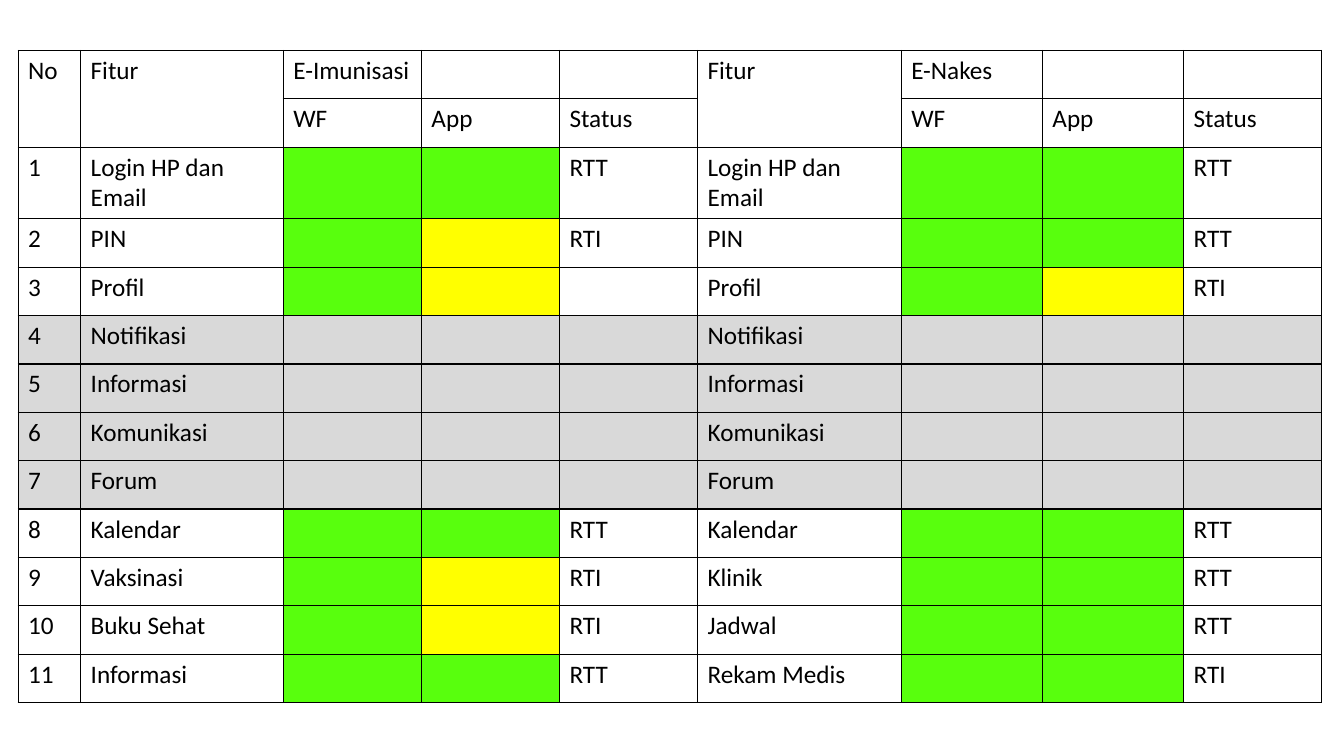
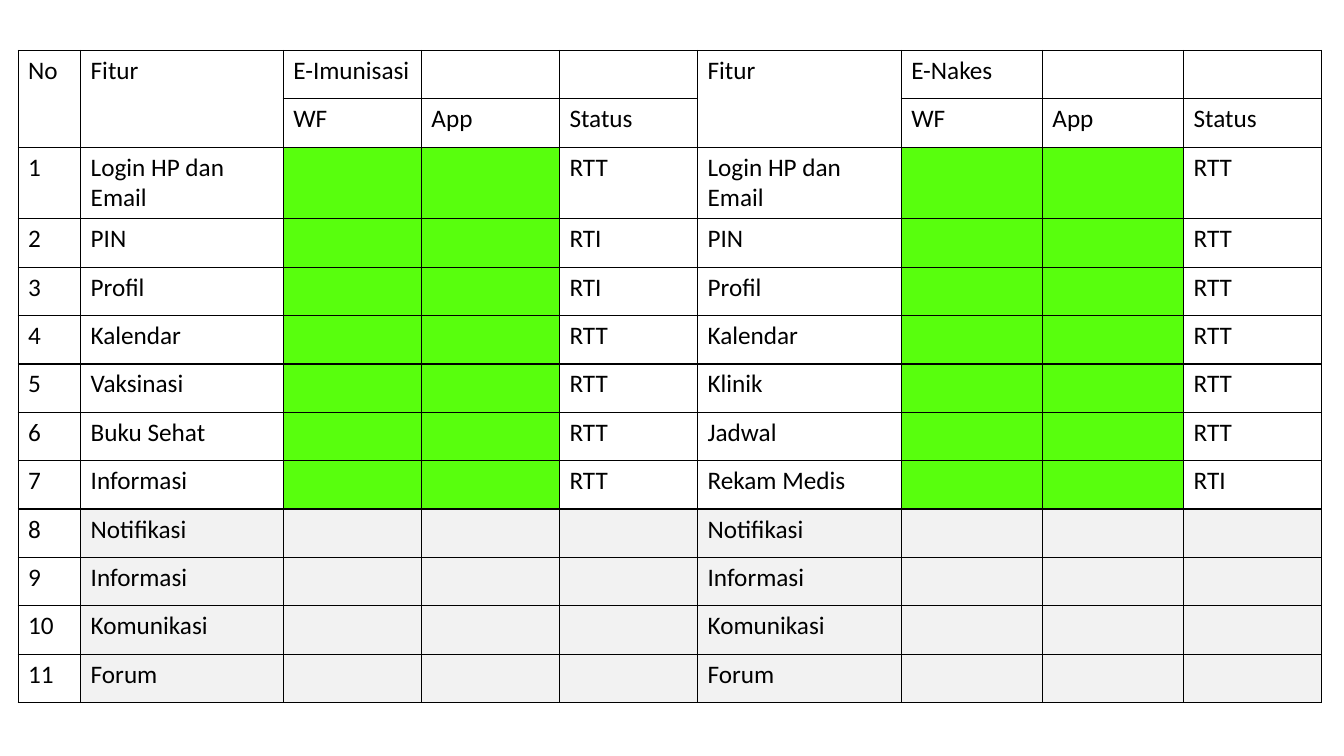
import pptx
import pptx.dml.color
import pptx.oxml
import pptx.oxml.ns
import pptx.util

SLIDE_WIDTH, SLIDE_HEIGHT = 13.33, 7.5
FONT = "Calibri"
FONT_SIZE = 18
BLACK = "000000"
DONE = "58FF0D"
PARTIAL = "FFFF00"
DARK_GREY = "D9D9D9"
LIGHT_GREY = "F2F2F2"

TABLE_LEFT, TABLE_TOP = 0.18, 0.5
COLUMN_WIDTHS = [0.62, 2.01, 1.37, 1.37, 1.37, 2.02, 1.4, 1.4, 1.37]
ROW_HEIGHT, TALL_ROW_HEIGHT = 0.48, 0.71
HEADER = [
    ["No", "Fitur", "E-Imunisasi", "", "", "Fitur", "E-Nakes", "", ""],
    ["", "", "WF", "App", "Status", "", "WF", "App", "Status"],
]
MERGED_COLUMNS = [0, 1, 5]
TALL_ROW = len(HEADER)
PAUSED_FEATURES = ["Notifikasi", "Informasi", "Komunikasi", "Forum"]

# Active features: left name, app colour, status; right name, app colour, status.
FIRST_LOGIN = [
    ("Login HP dan Email", DONE, "RTT", "Login HP dan Email", DONE, "RTT"),
    ("PIN", PARTIAL, "RTI", "PIN", DONE, "RTT"),
    ("Profil", PARTIAL, "", "Profil", PARTIAL, "RTI"),
]
FIRST_SERVICES = [
    ("Kalendar", DONE, "RTT", "Kalendar", DONE, "RTT"),
    ("Vaksinasi", PARTIAL, "RTI", "Klinik", DONE, "RTT"),
    ("Buku Sehat", PARTIAL, "RTI", "Jadwal", DONE, "RTT"),
    ("Informasi", DONE, "RTT", "Rekam Medis", DONE, "RTI"),
]
SECOND_ACTIVE = [
    ("Login HP dan Email", DONE, "RTT", "Login HP dan Email", DONE, "RTT"),
    ("PIN", DONE, "RTI", "PIN", DONE, "RTT"),
    ("Profil", DONE, "RTI", "Profil", DONE, "RTT"),
    ("Kalendar", DONE, "RTT", "Kalendar", DONE, "RTT"),
    ("Vaksinasi", DONE, "RTT", "Klinik", DONE, "RTT"),
    ("Buku Sehat", DONE, "RTT", "Jadwal", DONE, "RTT"),
    ("Informasi", DONE, "RTT", "Rekam Medis", DONE, "RTI"),
]


def color(value):
    """Turn a hex string into a colour."""
    return pptx.dml.color.RGBColor.from_string(value)


def add_borders(cell):
    """Draw a thin black line on all four sides of a cell."""
    properties = cell._tc.get_or_add_tcPr()
    namespace = pptx.oxml.ns.nsdecls("a")
    for side in ("lnL", "lnR", "lnT", "lnB"):
        properties.append(pptx.oxml.parse_xml(
            f'<a:{side} {namespace} w="{pptx.util.Pt(1)}"><a:solidFill>'
            f'<a:srgbClr val="{BLACK}"/></a:solidFill></a:{side}>'))


def format_cell(cell, text, fill):
    """Give a cell its borders, fill and text."""
    add_borders(cell)
    if fill:
        cell.fill.solid()
        cell.fill.fore_color.rgb = color(fill)
    else:
        cell.fill.background()
    paragraph = cell.text_frame.paragraphs[0]
    paragraph.font.size = pptx.util.Pt(FONT_SIZE)
    if text:
        run = paragraph.add_run()
        run.text = text
        run.font.name = FONT
        run.font.size = pptx.util.Pt(FONT_SIZE)
        run.font.color.rgb = color(BLACK)


def active_rows(features):
    """List the (text, fill) cells of features in progress, without numbers."""
    return [
        [(left, None), ("", DONE), ("", left_app), (left_status, None),
         (right, None), ("", DONE), ("", right_app), (right_status, None)]
        for left, left_app, left_status, right, right_app, right_status in features
    ]


def paused_rows(grey):
    """List the (text, fill) cells of paused features, without numbers."""
    return [[(text, grey) for text in (feature, "", "", "") * 2]
            for feature in PAUSED_FEATURES]


def add_status_table(slide, left, top, feature_rows, number_fills):
    """Place the feature status table with its two header rows."""
    rows = [[(text, None) for text in texts] for texts in HEADER]
    for number, (cells, fill) in enumerate(zip(feature_rows, number_fills), 1):
        rows.append([(str(number), fill)] + cells)
    heights = [TALL_ROW_HEIGHT if index == TALL_ROW else ROW_HEIGHT
               for index in range(len(rows))]
    box = [pptx.util.Inches(length)
           for length in (left, top, sum(COLUMN_WIDTHS), sum(heights))]
    table = slide.shapes.add_table(len(rows), len(COLUMN_WIDTHS), *box).table
    table.first_row = False
    table.horz_banding = False
    for column, width in zip(table.columns, COLUMN_WIDTHS):
        column.width = pptx.util.Inches(width)
    for row, height, contents in zip(table.rows, heights, rows):
        row.height = pptx.util.Inches(height)
        for cell, (text, fill) in zip(row.cells, contents):
            format_cell(cell, text, fill)
    for column in MERGED_COLUMNS:
        table.cell(0, column).merge(table.cell(1, column))


def add_status_slide(presentation, feature_rows, number_fills):
    """Add a slide that holds one status table."""
    slide = presentation.slides.add_slide(presentation.slide_layouts[6])
    add_status_table(slide, TABLE_LEFT, TABLE_TOP, feature_rows, number_fills)


def main():
    """Build both status slides and save them."""
    presentation = pptx.Presentation()
    presentation.slide_width = pptx.util.Inches(SLIDE_WIDTH)
    presentation.slide_height = pptx.util.Inches(SLIDE_HEIGHT)

    first_rows = (active_rows(FIRST_LOGIN) + paused_rows(DARK_GREY)
                  + active_rows(FIRST_SERVICES))
    first_fills = ([None] * len(FIRST_LOGIN) + [DARK_GREY] * len(PAUSED_FEATURES)
                   + [None] * len(FIRST_SERVICES))
    add_status_slide(presentation, first_rows, first_fills)

    second_rows = active_rows(SECOND_ACTIVE) + paused_rows(LIGHT_GREY)
    add_status_slide(presentation, second_rows, [None] * len(second_rows))

    presentation.save("out.pptx")


main()
